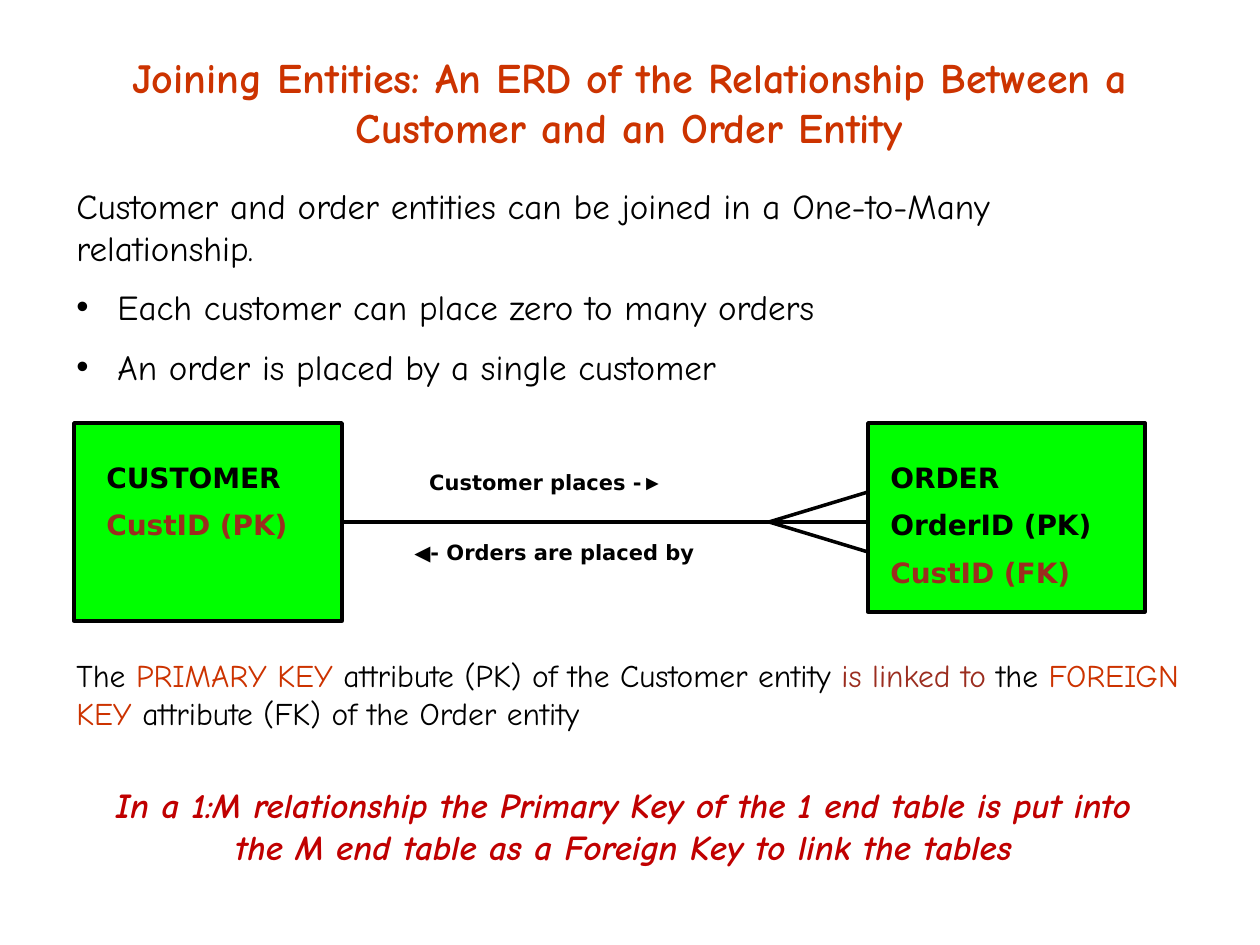
from lxml import etree
from pptx import Presentation
from pptx.dml.color import RGBColor
from pptx.enum.shapes import MSO_CONNECTOR, MSO_SHAPE
from pptx.enum.text import MSO_ANCHOR, PP_ALIGN
from pptx.oxml.ns import qn
from pptx.util import Emu, Pt

RECTANGLE = MSO_SHAPE.RECTANGLE
STRAIGHT = MSO_CONNECTOR.STRAIGHT
LEFT, CENTER = PP_ALIGN.LEFT, PP_ALIGN.CENTER
TOP, MIDDLE = MSO_ANCHOR.TOP, MSO_ANCHOR.MIDDLE

BLACK = RGBColor(0x00, 0x00, 0x00)
GREEN = RGBColor(0x00, 0xFF, 0x00)
ORANGE = RGBColor(0xCC, 0x33, 0x00)
BROWN = RGBColor(0x9B, 0x2D, 0x1F)
RED = RGBColor(0xC0, 0x00, 0x00)

HAND, SANS, SYMBOL = "Comic Neue", "DejaVu Sans", "Arial"
PIXELS_PER_INCH = 126


def px(pixels):
    return Emu(round(pixels * 914400 / PIXELS_PER_INCH))


class ErdSlide:
    line_width = Pt(2)
    bullet_indent = px(41)

    def __init__(self, slide):
        self.slide = slide

    def entity(self, left, top, width, height):
        box = self.slide.shapes.add_shape(
            RECTANGLE, px(left), px(top), px(width), px(height))
        box.shadow.inherit = False
        box.fill.solid()
        box.fill.fore_color.rgb = GREEN
        box.line.color.rgb = BLACK
        box.line.width = self.line_width

    def line(self, x1, y1, x2, y2):
        link = self.slide.shapes.add_connector(
            STRAIGHT, px(x1), px(y1), px(x2), px(y2))
        link.line.color.rgb = BLACK
        link.line.width = self.line_width
        etree.SubElement(link._element.spPr, qn("a:effectLst"))

    def text(self, box, paragraphs, size, font=HAND, color=BLACK, bold=False,
             italic=False, align=LEFT, anchor=TOP, bullets_from=None):
        """Each paragraph is a list of (text, color, font); the last two may be left out."""
        frame = self.slide.shapes.add_textbox(*map(px, box)).text_frame
        frame.word_wrap = True
        frame.vertical_anchor = anchor
        for index, runs in enumerate(paragraphs):
            paragraph = frame.paragraphs[0] if index == 0 else frame.add_paragraph()
            paragraph.alignment = align
            if index:
                paragraph.space_before = Pt(size / 2)
            if bullets_from is not None and index >= bullets_from:
                self.bullet(paragraph)
            for words, run_color, run_font in (
                    (*run, *(color, font)[len(run) - 1:]) for run in runs):
                run = paragraph.add_run()
                run.text = words
                run.font.name = run_font
                run.font.size = Pt(size)
                run.font.bold = bold
                run.font.italic = italic
                run.font.color.rgb = run_color

    def bullet(self, paragraph):
        properties = paragraph._p.get_or_add_pPr()
        properties.set("marL", str(self.bullet_indent))
        properties.set("indent", str(-self.bullet_indent))
        etree.SubElement(properties, qn("a:buFont"), typeface=SYMBOL)
        etree.SubElement(properties, qn("a:buChar"), char="•")


deck = Presentation()
deck.slide_width, deck.slide_height = px(1260), px(945)
erd = ErdSlide(deck.slides.add_slide(deck.slide_layouts[6]))

# Title
erd.text((44, 38, 1171, 127),
         [[("Joining Entities: An ERD of the Relationship Between a "
            "Customer and an Order Entity",)]],
         24, color=ORANGE, bold=True, align=CENTER, anchor=MIDDLE)

# Introduction
erd.text((64, 178, 1091, 223),
         [[("Customer and order entities can be joined in a One-to-Many relationship.",)],
          [("Each customer can place zero to many orders",)],
          [("An order is placed by a single customer",)]],
         20, bullets_from=1)

# Entities
erd.entity(74, 423, 268, 198)
erd.entity(868, 423, 277, 189)
erd.text((94, 454, 228, 97),
         [[("CUSTOMER",)], [("CustID (PK)", BROWN)]],
         16, SANS, bold=True)
erd.text((878, 454, 248, 147),
         [[("ORDER",)], [("OrderID (PK)",)], [("CustID (FK)", BROWN)]],
         16, SANS, bold=True)

# Relationship with its crow's foot
axis, fork, order_edge = 522, 769, 868
erd.line(342, axis, order_edge, axis)
for spread in (-30, 30):
    erd.line(fork, axis, order_edge, axis + spread)
erd.text((412, 463, 268, 38),
         [[("Customer places -",), ("►", BLACK, SYMBOL)]],
         12, SANS, bold=True, align=CENTER)
erd.text((402, 533, 318, 38), [[("◀- Orders are placed by",)]],
         12, SANS, bold=True)

# Key explanation
erd.text((64, 650, 1142, 88),
         [[("The ",), ("PRIMARY KEY", ORANGE),
           (" attribute (PK) of the Customer entity ",),
           ("is linked to", BROWN), (" the ",), ("FOREIGN KEY", ORANGE),
           (" attribute (FK) of the Order entity",)]],
         18)

# Rule
erd.text((78, 777, 1092, 97),
         [[("In a 1:M relationship the Primary Key of the 1 end table is put into "
            "the M end table as a Foreign Key to link the tables",)]],
         20, color=RED, bold=True, italic=True, align=CENTER)

deck.save("out.pptx")
